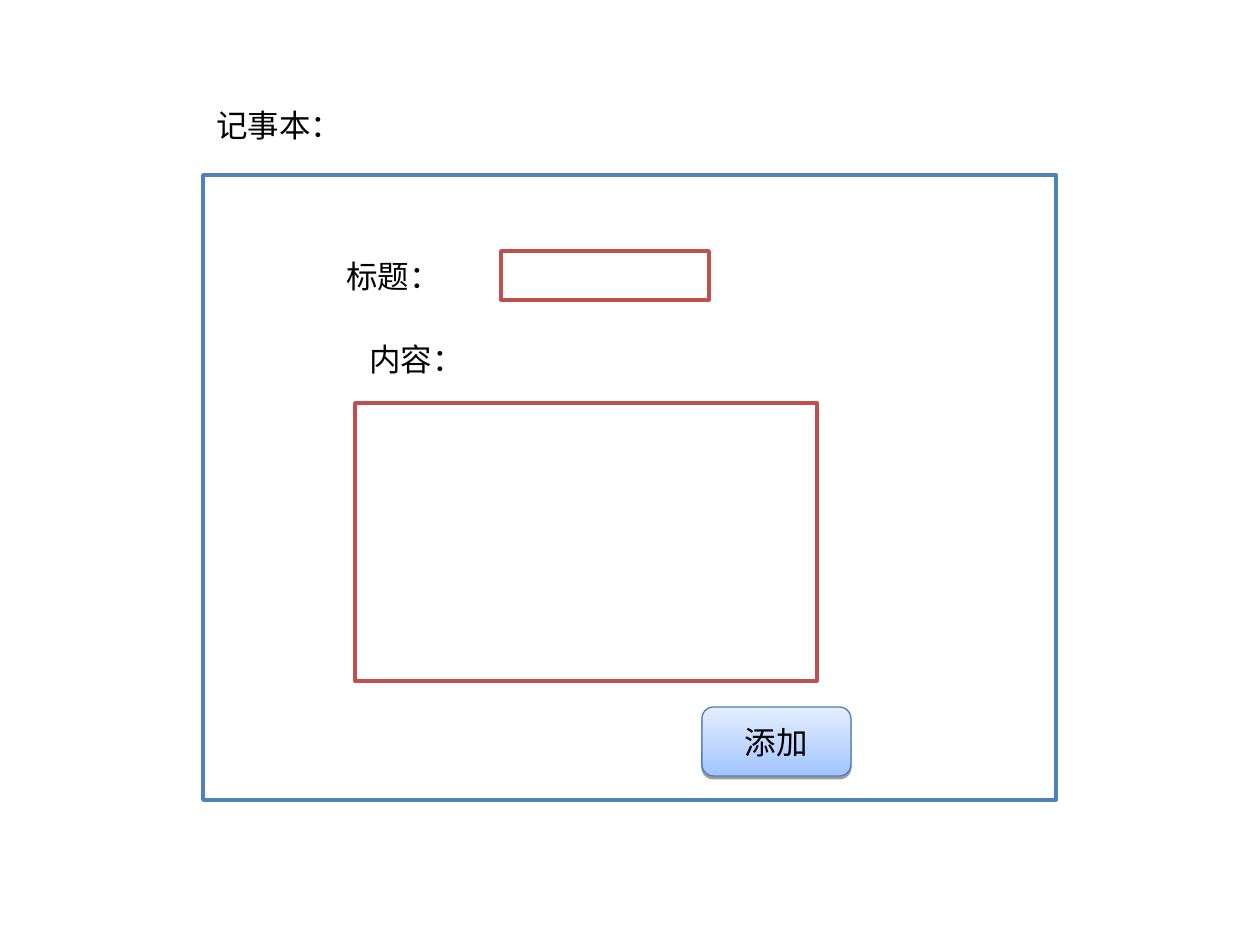
from dataclasses import dataclass
from lxml.etree import SubElement as Sub
from pptx import Presentation
from pptx.dml.color import RGBColor as Rgb
from pptx.enum.shapes import MSO_SHAPE as Form
from pptx.enum.text import MSO_ANCHOR as Anchor, MSO_AUTO_SIZE as Fit, PP_ALIGN as Align
from pptx.oxml.ns import qn
from pptx.util import Emu, Pt

SCALE = 914400 / 126


@dataclass(frozen=True)
class Theme:
    paper: str = "FFFFFF"
    ink: str = "000000"
    frame: str = "4F81BD"
    field: str = "C0504D"
    edge: str = "4A7EBB"
    low: str = "A3C4FF"
    high: str = "E5EEFF"
    font: str = "Calibri"
    size: int = 18
    rule: float = 2
    thin: float = 0.75


theme = Theme()


def px(n):
    return Emu(round(n * SCALE))


def rgb(code):
    return Rgb.from_string(code)


def place(box, x, y, w, h):
    """Turn a spot inside box into slide lengths."""
    return [px(n) for n in (box[0] + x, box[1] + y, w, h)]


def write(frame, text):
    frame.text = text
    font = frame.paragraphs[0].runs[0].font
    font.name, font.size = theme.font, Pt(theme.size)
    font.color.rgb = rgb(theme.ink)


def label(slide, box, x, y, w, text):
    frame = slide.shapes.add_textbox(*place(box, x, y, w, 50)).text_frame
    frame.word_wrap = False
    frame.auto_size = Fit.SHAPE_TO_FIT_TEXT
    write(frame, text)


def panel(slide, box, color):
    shape = slide.shapes.add_shape(Form.RECTANGLE, *place(box, 0, 0, *box[2:]))
    shape.shadow.inherit = False
    shape.fill.solid()
    shape.fill.fore_color.rgb = rgb(theme.paper)
    shape.line.color.rgb = rgb(color)
    shape.line.width = Pt(theme.rule)


def button(slide, box, text):
    shape = slide.shapes.add_shape(
        Form.ROUNDED_RECTANGLE, *place(box, 0, 0, *box[2:]))
    shape.line.color.rgb = rgb(theme.edge)
    shape.line.width = Pt(theme.thin)

    # Fill, light at the top
    shape.fill.gradient()
    shape.fill.gradient_angle = 90
    for stop, color, at in zip(shape.fill.gradient_stops,
                               (theme.low, theme.high), (0, 1)):
        stop.color.rgb = rgb(color)
        stop.position = at

    # Hard shadow straight below
    shape.shadow.inherit = False
    effects = shape.element.spPr.find(qn("a:effectLst"))
    shade = Sub(effects, qn("a:outerShdw"), blurRad="0", dist=str(Pt(1.6)),
                dir="5400000", rotWithShape="0")
    tint = Sub(shade, qn("a:srgbClr"), val=theme.ink)
    Sub(tint, qn("a:alpha"), val="38000")

    # Caption
    frame = shape.text_frame
    frame.vertical_anchor = Anchor.MIDDLE
    write(frame, text)
    frame.paragraphs[0].alignment = Align.CENTER


def form(slide, box):
    left, top = box[:2]
    panel(slide, box, theme.frame)
    label(slide, box, 1, -75, 151, "记事本：")

    # Title row
    panel(slide, (left + 298, top + 76, 208, 49), theme.field)
    label(slide, box, 131, 76, 120, "标题：")

    # Content area
    panel(slide, (left + 152, top + 228, 462, 278), theme.field)
    label(slide, box, 154, 159, 120, "内容：")

    button(slide, (left + 499, top + 532, 149, 69), "添加")


def main():
    deck = Presentation()
    deck.slide_width, deck.slide_height = px(1260), px(945)
    slide = deck.slides.add_slide(deck.slide_layouts[6])
    form(slide, (203, 175, 853, 625))
    deck.save("out.pptx")


if __name__ == "__main__":
    main()
